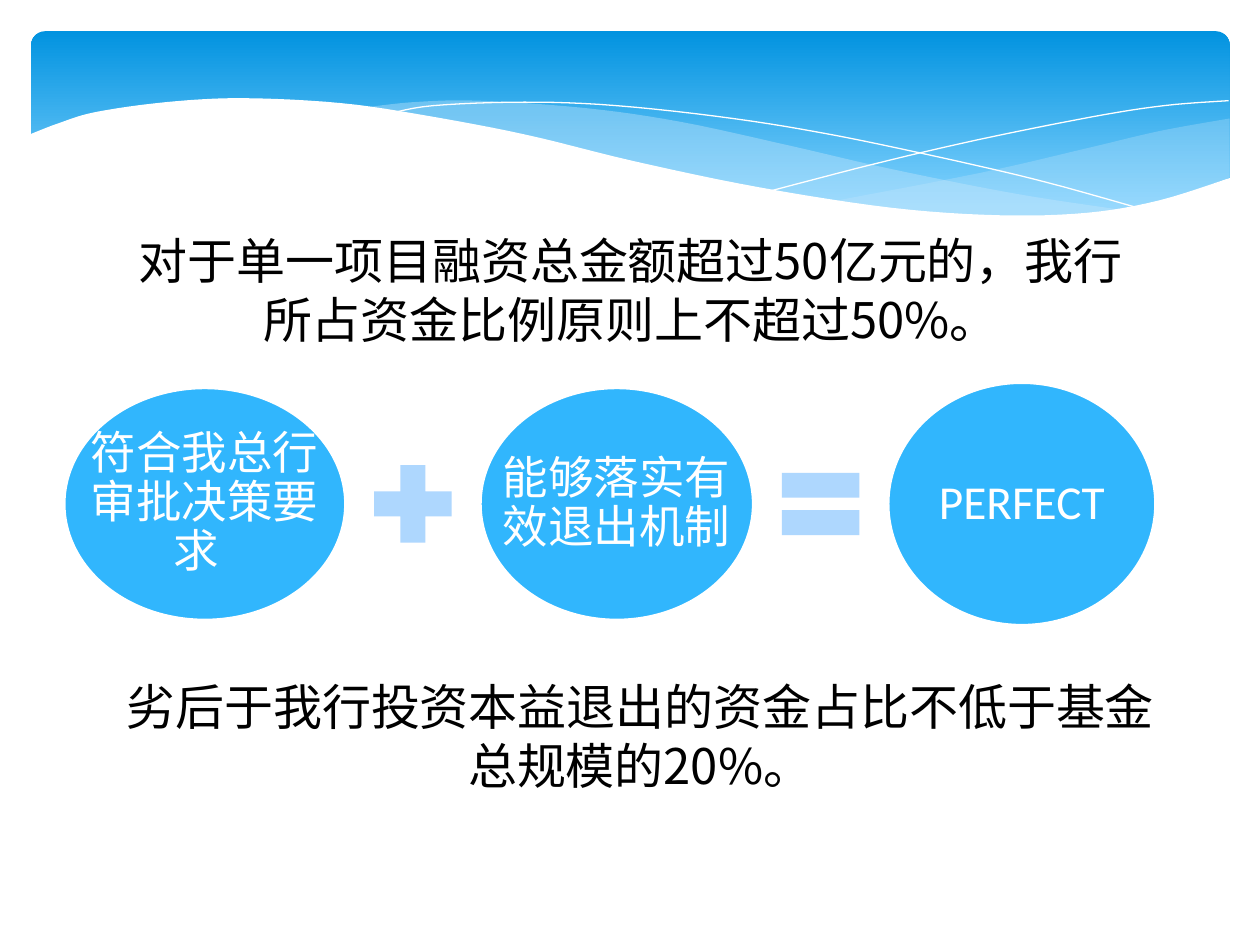
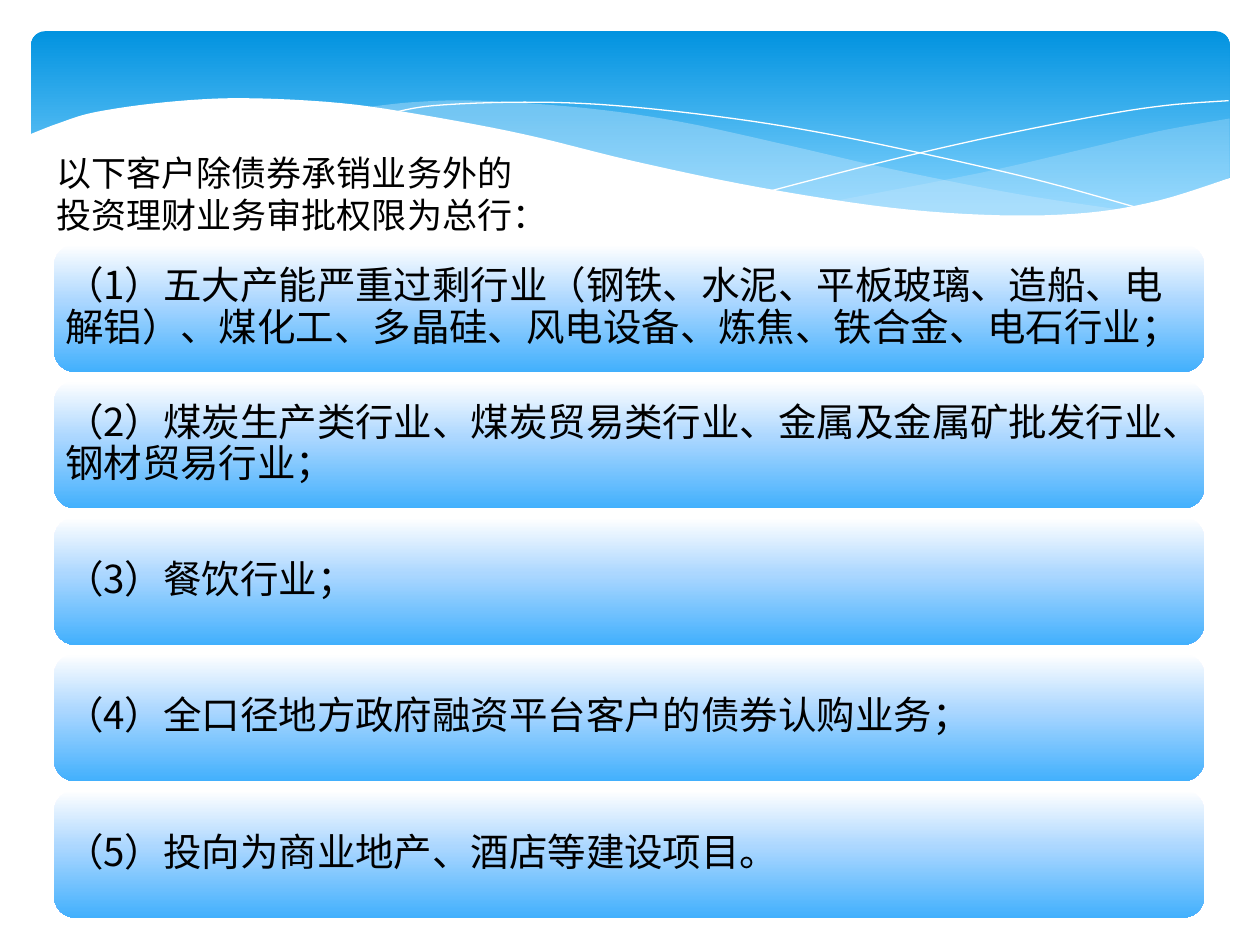
from dataclasses import dataclass

import pptx
import pptx.dml.color
import pptx.enum.shapes
import pptx.enum.text
import pptx.oxml
import pptx.oxml.ns
import pptx.shapes.autoshape
import pptx.slide
import pptx.util
from lxml import etree

Cm = pptx.util.Cm
Pt = pptx.util.Pt
qn = pptx.oxml.ns.qn
ShapeKind = pptx.enum.shapes.MSO_SHAPE
Align = pptx.enum.text.PP_ALIGN
Anchor = pptx.enum.text.MSO_ANCHOR
AutoSize = pptx.enum.text.MSO_AUTO_SIZE
Shape = pptx.shapes.autoshape.Shape
Slide = pptx.slide.Slide
Point = tuple[float, float]

COLORS = {
    "white": "FFFFFF",
    "black": "000000",
    "circle": "31B6FD",
    "operator": "AED7FE",
    "band_top": "0293E0",
    "band_bottom": "83D3FE",
    "wave": "C6E7FC",
    "row_middle": "ACD7FF",
    "row_bottom": "42B0FD",
}
CHINESE_FONT = "Noto Sans CJK SC"
LATIN_FONT = "Calibri"


@dataclass
class Box:
    """A rectangle measured in centimetres."""
    left: float
    top: float
    width: float
    height: float

    def lengths(self) -> list[pptx.util.Length]:
        return [Cm(value) for value in (self.left, self.top, self.width, self.height)]


@dataclass
class TextStyle:
    size: float
    color: str = "black"
    font: str = CHINESE_FONT
    align: Align = Align.LEFT
    line_spacing: float = 1.0


@dataclass
class Wave:
    """Smooth edges, joined in turn, then straight corners; filled or drawn as a line."""
    edges: list[list[Point]]
    corners: tuple[Point, ...] = ()
    color: str = "wave"
    opacity: int = 100
    filled: bool = True


@dataclass
class EquationPart:
    kind: ShapeKind
    width: float
    height: float
    color: str
    text: str = ""
    style: TextStyle | None = None


WAVES = [
    Wave([[(24.79, 2.39), (23.39, 2.64), (21.87, 3), (19.79, 3.48), (16.79, 4.06)],
          [(16.79, 4.06), (18.59, 4.27), (20.4, 4.37), (22.15, 4.29), (23.57, 4.01),
           (24.79, 3.58)]], opacity=29),
    Wave([[(22.68, 4.24), (20.5, 3.91), (17.93, 3.4), (15.98, 2.95), (13.74, 2.46),
           (11.81, 2.18), (9.65, 2.03), (8.33, 2.06), (7.26, 2.18)],
          [(7.26, 2.18), (9.19, 2.46), (11.4, 2.95), (14.38, 3.63), (16.51, 4.01),
           (18.69, 4.29), (20.78, 4.39), (22.68, 4.24)]], opacity=40),
    Wave([[(7.85, 2.29), (8.74, 2.13), (10.57, 2.06), (12.42, 2.13), (14.78, 2.39),
           (16.89, 2.74), (19.3, 3.25), (21.11, 3.68), (23.04, 4.22)]],
         color="white", filled=False),
    Wave([[(15.57, 3.84), (17.65, 3.3), (19.71, 2.82), (22, 2.36), (23.47, 2.13),
           (24.77, 2.03)]], color="white", filled=False),
    Wave([[(24.82, 3.58), (23.37, 4.04), (21.92, 4.29), (20.14, 4.34), (17.98, 4.19),
           (15.32, 3.78), (12.78, 3.25), (10.62, 2.72), (8.64, 2.34), (6.88, 2.08),
           (4.9, 1.98), (3.35, 2.06), (1.93, 2.26), (1.17, 2.49), (0.58, 2.72)]],
         corners=((0.58, 5.69), (24.82, 5.69)), color="white"),
]

STATEMENT = TextStyle(28, align=Align.CENTER)
CIRCLE_TEXT = TextStyle(26, "white", align=Align.CENTER, line_spacing=0.9)
RESULT_TEXT = TextStyle(27, "white", LATIN_FONT, Align.CENTER, 0.9)
ROW_TEXT = TextStyle(22, line_spacing=0.9)

EQUATION_LEFT, EQUATION_MIDDLE, EQUATION_GAP = 1.3, 10.16, 0.3
EQUATION = [
    EquationPart(ShapeKind.OVAL, 5.66, 4.67, "circle", "符合我总行审批决策要求\t", CIRCLE_TEXT),
    EquationPart(ShapeKind.MATH_PLUS, 2.13, 2.13, "operator"),
    EquationPart(ShapeKind.OVAL, 5.49, 4.67, "circle", "能够落实有效退出机制", CIRCLE_TEXT),
    EquationPart(ShapeKind.MATH_EQUAL, 2.13, 2.13, "operator"),
    EquationPart(ShapeKind.OVAL, 5.38, 4.88, "circle", "PERFECT", RESULT_TEXT),
]

ROW_TOP, ROW_PITCH = 4.93, 2.75
RESTRICTED_CLIENTS = [
    "（1）五大产能严重过剩行业（钢铁、水泥、平板玻璃、造船、电解铝）、煤化工、多晶硅、"
    "风电设备、炼焦、铁合金、电石行业；",
    "（2）煤炭生产类行业、煤炭贸易类行业、金属及金属矿批发行业、钢材贸易行业；",
    "（3）餐饮行业；",
    "（4）全口径地方政府融资平台客户的债券认购业务；",
    "（5）投向为商业地产、酒店等建设项目。",
]


def rgb(name: str) -> pptx.dml.color.RGBColor:
    return pptx.dml.color.RGBColor.from_string(COLORS[name])


def smooth(points: list[Point], steps: int = 6) -> list[Point]:
    """Sample a Catmull-Rom curve that runs through the points."""
    padded = [points[0], *points, points[-1]]
    curve = [points[0]]
    for before, start, end, after in zip(padded, padded[1:], padded[2:], padded[3:]):
        for step in range(1, steps + 1):
            t = step / steps
            curve.append(tuple(
                0.5 * (2 * b + (c - a) * t + (2 * a - 5 * b + 4 * c - d) * t**2
                       + (3 * b - a - 3 * c + d) * t**3)
                for a, b, c, d in zip(before, start, end, after)))
    return curve


def fill_gradient(shape: Shape, stops: list[tuple[int, str]]) -> None:
    """Fill from top to bottom; each stop is a percentage and a colour name."""
    shape.fill.gradient()
    shape.fill.gradient_angle = 270
    stop_list = shape._element.spPr.find(qn("a:gradFill")).find(qn("a:gsLst"))
    for old_stop in list(stop_list):
        stop_list.remove(old_stop)
    for percent, color in stops:
        stop = etree.SubElement(stop_list, qn("a:gs"), pos=str(percent * 1000))
        etree.SubElement(stop, qn("a:srgbClr"), val=COLORS[color])


def add_plain_shape(slide: Slide, kind: ShapeKind, box: Box) -> Shape:
    shape = slide.shapes.add_shape(kind, *box.lengths())
    shape.shadow.inherit = False
    shape.line.fill.background()
    return shape


def write_text(shape: Shape, text: str, style: TextStyle) -> None:
    frame = shape.text_frame
    frame.word_wrap = True
    paragraph = frame.paragraphs[0]
    paragraph.text = text
    paragraph.alignment = style.align
    paragraph.line_spacing = style.line_spacing
    paragraph.font.size = Pt(style.size)
    paragraph.font.color.rgb = rgb(style.color)
    paragraph.font.name = style.font
    defaults = paragraph._p.pPr.find(qn("a:defRPr"))
    etree.SubElement(defaults, qn("a:ea"), typeface=style.font)


def set_insets(shape: Shape, inset: float) -> None:
    frame = shape.text_frame
    frame.vertical_anchor = Anchor.MIDDLE
    frame.margin_left = frame.margin_right = Cm(inset)
    frame.margin_top = frame.margin_bottom = Cm(inset)


def add_statement(slide: Slide, box: Box, text: str, style: TextStyle) -> None:
    shape = slide.shapes.add_textbox(*box.lengths())
    write_text(shape, text, style)
    shape.text_frame.auto_size = AutoSize.SHAPE_TO_FIT_TEXT


def add_wave(slide: Slide, wave: Wave) -> None:
    outline = [point for edge in wave.edges for point in smooth(edge)]
    outline.extend(wave.corners)
    start, *others = [(Cm(x), Cm(y)) for x, y in outline]
    builder = slide.shapes.build_freeform(*start)
    builder.add_line_segments(others, close=wave.filled)
    shape = builder.convert_to_shape()
    shape.shadow.inherit = False
    if not wave.filled:
        shape.fill.background()
        shape.line.color.rgb = rgb(wave.color)
        shape.line.width = Pt(0)
        return
    shape.line.fill.background()
    shape.fill.solid()
    shape.fill.fore_color.rgb = rgb(wave.color)
    if wave.opacity < 100:
        color = shape._element.spPr.find(qn("a:solidFill")).find(qn("a:srgbClr"))
        etree.SubElement(color, qn("a:alpha"), val=str(wave.opacity * 1000))


def add_banner_slide(presentation) -> Slide:
    """Add a blank slide with the wavy blue banner."""
    slide = presentation.slides.add_slide(presentation.slide_layouts[6])
    band = add_plain_shape(slide, ShapeKind.ROUNDED_RECTANGLE, Box(0.63, 0.63, 24.16, 3.96))
    band.adjustments[0] = 0.07
    fill_gradient(band, [(0, "band_top"), (90, "band_bottom")])
    for wave in WAVES:
        add_wave(slide, wave)
    return slide


def add_equation_part(slide: Slide, part: EquationPart, left: float) -> None:
    box = Box(left, EQUATION_MIDDLE - part.height / 2, part.width, part.height)
    shape = add_plain_shape(slide, part.kind, box)
    shape.fill.solid()
    shape.fill.fore_color.rgb = rgb(part.color)
    if part.style:
        shape.line.color.rgb = rgb("white")
        shape.line.width = Pt(1.25)
        label = slide.shapes.add_textbox(*box.lengths())
        write_text(label, part.text, part.style)
        set_insets(label, 0.1)


def build_conditions_slide(presentation) -> None:
    slide = add_banner_slide(presentation)
    left = EQUATION_LEFT
    for part in EQUATION:
        add_equation_part(slide, part, left)
        left += part.width + EQUATION_GAP
    add_statement(slide, Box(2.11, 13.51, 21.59, 2.64),
                  "劣后于我行投资本益退出的资金占比不低于基金总规模的20%。", STATEMENT)
    add_statement(slide, Box(2.11, 4.52, 21.21, 2.64),
                  "对于单一项目融资总金额超过50亿元的，我行所占资金比例原则上不超过50%。", STATEMENT)


def build_restrictions_slide(presentation) -> None:
    slide = add_banner_slide(presentation)
    for index, text in enumerate(RESTRICTED_CLIENTS):
        box = Box(1.09, ROW_TOP + index * ROW_PITCH, 23.19, 2.57)
        row = add_plain_shape(slide, ShapeKind.ROUNDED_RECTANGLE, box)
        fill_gradient(row, [(0, "white"), (44, "row_middle"), (100, "row_bottom")])
        write_text(row, text, ROW_TEXT)
        set_insets(row, 0.1)
    add_statement(slide, Box(0.89, 2.92, 10.01, 1.96),
                  "以下客户除债券承销业务外的投资理财业务审批权限为总行：", TextStyle(20))


def main() -> None:
    presentation = pptx.Presentation()
    presentation.slide_width = Cm(25.4)
    presentation.slide_height = Cm(19.05)
    build_conditions_slide(presentation)
    build_restrictions_slide(presentation)
    presentation.save("out.pptx")


if __name__ == "__main__":
    main()
